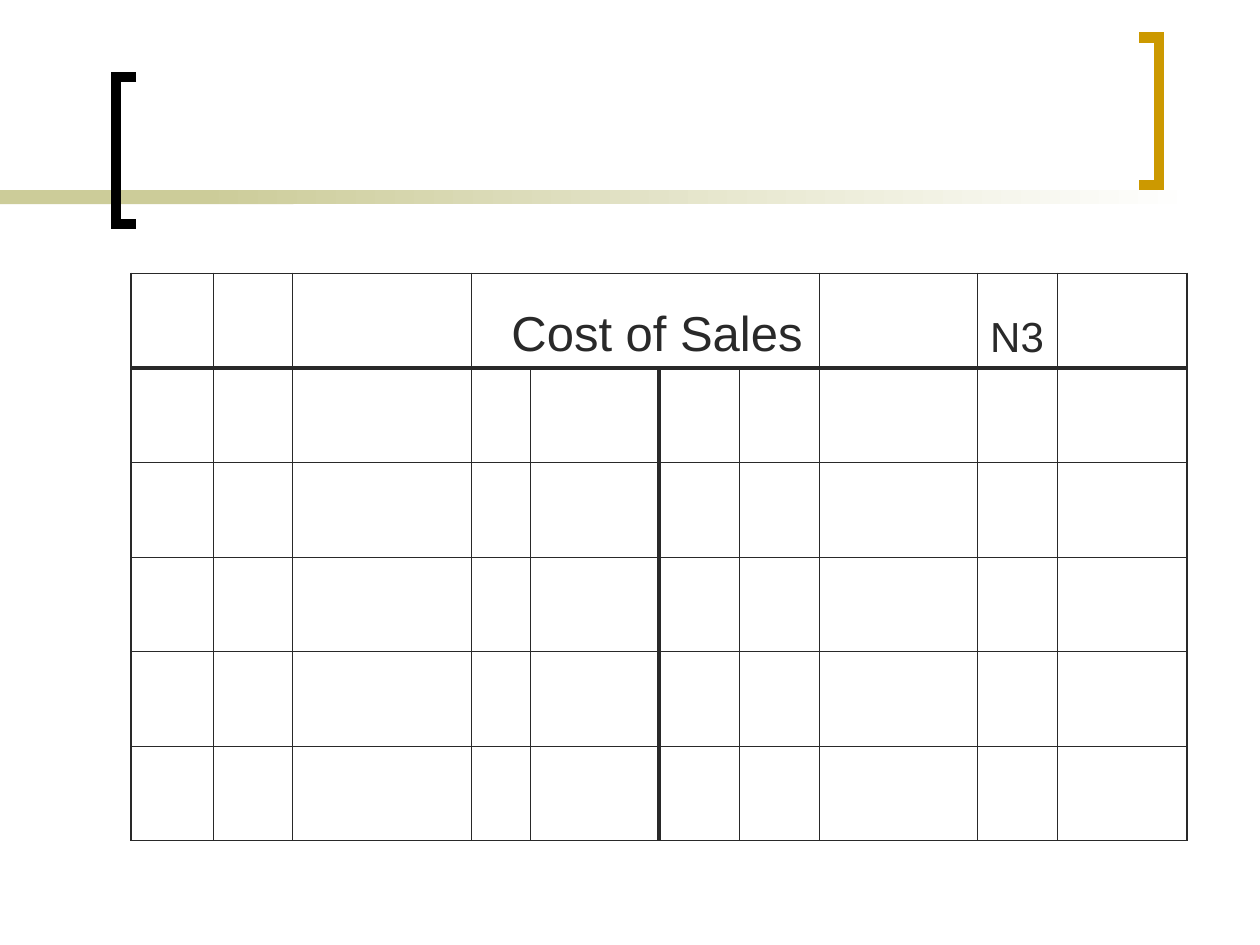
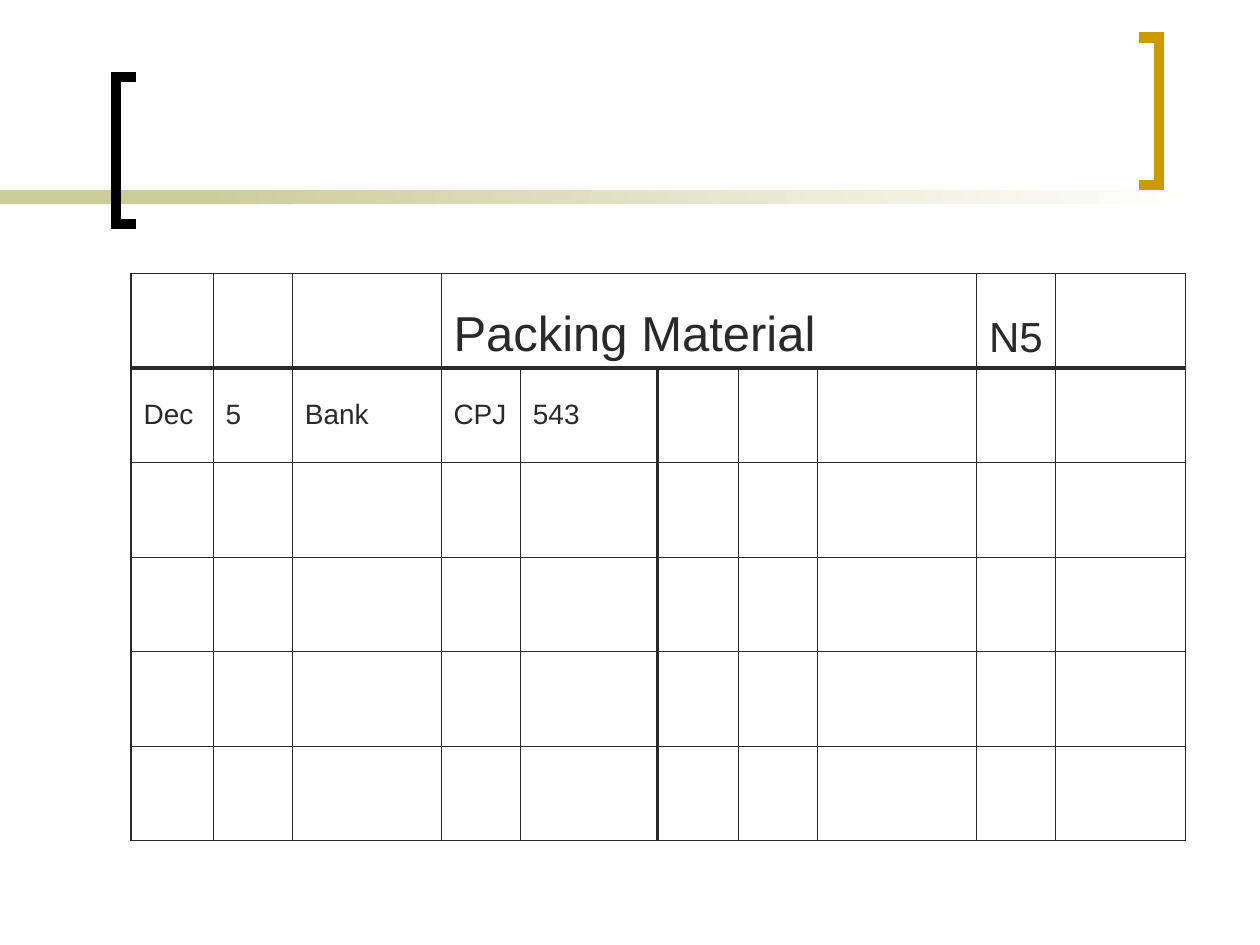
from lxml import etree
from pptx import Presentation
from pptx.dml.color import RGBColor
from pptx.enum.shapes import MSO_SHAPE
from pptx.enum.text import MSO_ANCHOR
from pptx.oxml.ns import qn
from pptx.util import Inches, Pt

RECTANGLE = MSO_SHAPE.RECTANGLE
BOTTOM, MIDDLE = MSO_ANCHOR.BOTTOM, MSO_ANCHOR.MIDDLE

FONT = "Arial"
COLORS = {"ink": "292929", "band": "CCCC99", "paper": "FFFFFF",
          "left bracket": "000000", "right bracket": "CC9900"}

# Each ledger account: column widths, header (column, span, indent) and entries
ACCOUNTS = [
    {"name": "Cost of Sales", "number": "N3", "name_span": 4, "indent": 0.22,
     "columns": [0.65, 0.63, 1.42, 0.47, 1.02, 0.64, 0.63, 1.26, 0.63, 1.03],
     "entries": []},
    {"name": "Packing Material", "number": "N5", "name_span": 5, "indent": 0,
     "columns": [0.65, 0.63, 1.18, 0.63, 1.09, 0.64, 0.63, 1.26, 0.63, 1.03],
     "entries": [["Dec", "5", "Bank", "CPJ", "543"]]},
]
NAME_COLUMN, NUMBER_COLUMN, CREDIT_COLUMN = 3, 8, 5
ROW_COUNT, ROW_HEIGHT = 6, 0.75
TABLE_LEFT, TABLE_TOP = 1.04, 2.17
THIN, FRAME, HEAVY = 0.45, 1.08, 2.21

BAND_TOP, BAND_HEIGHT = 1.51, 0.11
BRACKET_WIDTH, BRACKET_HEIGHT = 0.16, 1.17


def rgb(name):
    return RGBColor.from_string(COLORS[name])


def add_band(slide, left, width):
    band = slide.shapes.add_shape(RECTANGLE, Inches(left), Inches(BAND_TOP),
                                  Inches(width), Inches(BAND_HEIGHT))
    band.shadow.inherit = False
    band.line.fill.background()
    return band


def add_bracket(slide, spine, top, arm, color):
    """Draw a square bracket whose arms reach from the spine by arm inches."""
    bottom = top + BRACKET_HEIGHT
    points = [(spine + arm, top), (spine, top),
              (spine, bottom), (spine + arm, bottom)]
    points = [(Inches(x), Inches(y)) for x, y in points]
    builder = slide.shapes.build_freeform(*points[0])
    builder.add_line_segments(points[1:], close=False)
    bracket = builder.convert_to_shape()
    bracket.shadow.inherit = False
    bracket.fill.background()
    bracket.line.color.rgb = rgb(color)
    bracket.line.width = Pt(6)
    outline = bracket.element.spPr.find(qn("a:ln"))
    etree.SubElement(outline, qn("a:miter"), lim="800000")
    return bracket


def decorate_layout(layout, slide):
    """Draw the shared bands and brackets, then move them to the layout."""
    solid = add_band(slide, 0, 2.33)
    solid.fill.solid()
    solid.fill.fore_color.rgb = rgb("band")
    fading = add_band(slide, 1.58, 7.92)
    fading.fill.gradient()
    fading.fill.gradient_angle = 180
    for stop, color in zip(fading.fill.gradient_stops, ("paper", "band")):
        stop.color.rgb = rgb(color)
    left = add_bracket(slide, 0.92, 0.61, BRACKET_WIDTH, "left bracket")
    right = add_bracket(slide, 9.2, 0.3, -BRACKET_WIDTH, "right bracket")
    for shape in (solid, fading, left, right):
        layout.shapes.element.append(shape.element)


def horizontal_weight(edge):
    return {0: FRAME, 1: HEAVY, ROW_COUNT: FRAME}.get(edge, THIN)


def vertical_weight(edge, row, column_count):
    if edge in (0, column_count):
        return FRAME
    return HEAVY if edge == CREDIT_COLUMN and row > 0 else THIN


def set_borders(cell, weights):
    properties = cell._tc.get_or_add_tcPr()
    for side, weight in weights.items():
        border = etree.SubElement(properties, qn(f"a:ln{side}"), w=str(Pt(weight)))
        fill = etree.SubElement(border, qn("a:solidFill"))
        etree.SubElement(fill, qn("a:srgbClr"), val=COLORS["ink"])


def write(cell, text, size, anchor):
    cell.text_frame.text = text
    cell.vertical_anchor = anchor
    font = cell.text_frame.paragraphs[0].runs[0].font
    font.name, font.size = FONT, Pt(size)
    font.color.rgb = rgb("ink")


def add_ledger(slide, account):
    widths = account["columns"]
    frame = slide.shapes.add_table(
        ROW_COUNT, len(widths), Inches(TABLE_LEFT), Inches(TABLE_TOP),
        Inches(sum(widths)), Inches(ROW_COUNT * ROW_HEIGHT))
    table = frame.table
    table.first_row = table.horz_banding = False
    for column, width in zip(table.columns, widths):
        column.width = Inches(width)
    for row_index, row in enumerate(table.rows):
        row.height = Inches(ROW_HEIGHT)
        for index, cell in enumerate(row.cells):
            set_borders(cell, {
                "L": vertical_weight(index, row_index, len(widths)),
                "R": vertical_weight(index + 1, row_index, len(widths)),
                "T": horizontal_weight(row_index),
                "B": horizontal_weight(row_index + 1)})
            cell.fill.background()

    name_cell = table.cell(0, NAME_COLUMN)
    name_cell.merge(table.cell(0, NAME_COLUMN + account["name_span"] - 1))
    name_cell.margin_left = Inches(0.1 + account["indent"])
    write(name_cell, account["name"], 28, BOTTOM)
    write(table.cell(0, NUMBER_COLUMN), account["number"], 24, BOTTOM)
    for row_index, entry in enumerate(account["entries"], start=1):
        for index, text in enumerate(entry):
            write(table.cell(row_index, index), text, 16, MIDDLE)


def main():
    deck = Presentation()
    deck.slide_width, deck.slide_height = Inches(10), Inches(7.5)
    blank = deck.slide_layouts.get_by_name("Blank")
    slides = [deck.slides.add_slide(blank) for account in ACCOUNTS]
    decorate_layout(blank, slides[0])
    for slide, account in zip(slides, ACCOUNTS):
        add_ledger(slide, account)
    deck.save("out.pptx")


if __name__ == "__main__":
    main()
